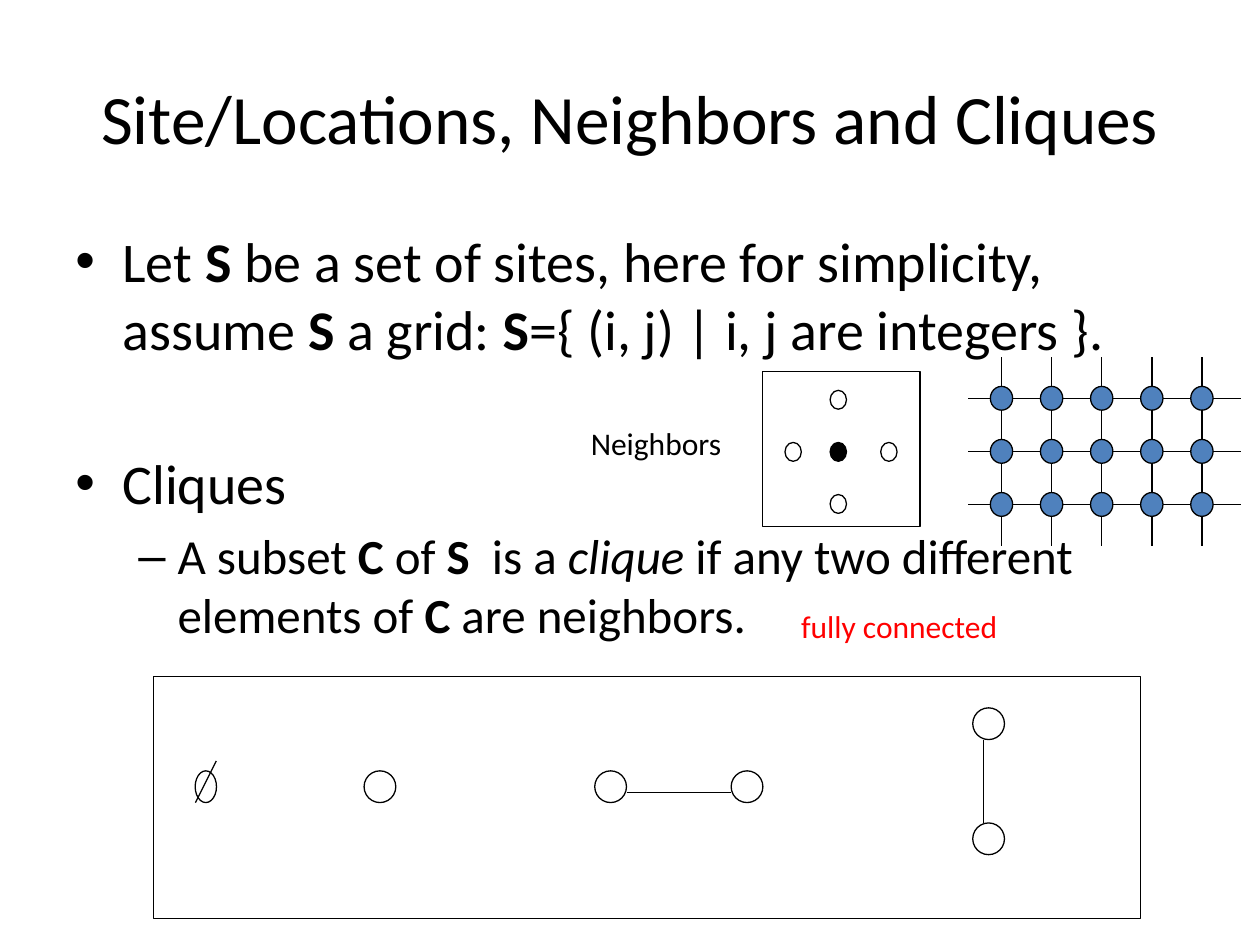
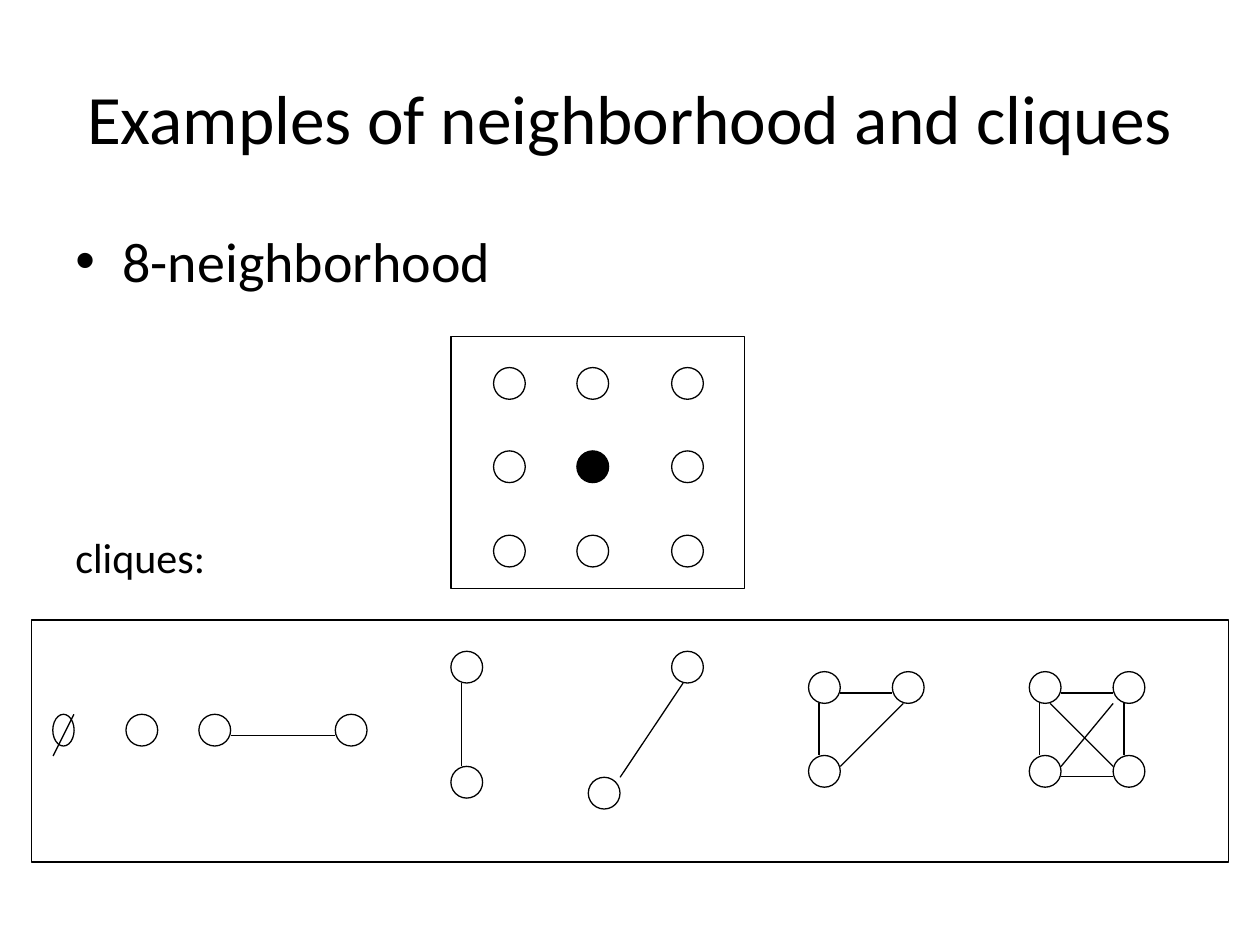
from lxml.etree import SubElement
from pptx import Presentation
from pptx.dml.color import RGBColor
from pptx.enum.shapes import MSO_CONNECTOR, MSO_SHAPE
from pptx.enum.text import MSO_ANCHOR, PP_ALIGN
from pptx.oxml.ns import qn
from pptx.util import Cm, Pt

HUES = {"ink": "000000", "node": "4F81BD", "note": "FF0000"}
FONT = "Calibri"
RAD = 0.32   # radius of a site in a clique
SIDE = 1.69  # distance between sites of a triangle or square
# Bullet, left margin, indent (cm) and text size for each level
LEVELS = [("•", 0.95, -0.95, 32), ("–", 2.06, -0.79, 28)]


def hue(name):
    return RGBColor.from_string(HUES[name])


def write(para, runs, size, color="ink"):
    """Add (text, style) runs; style holds b for bold and i for italic."""
    for text, style in runs:
        run = para.add_run()
        run.text = text
        font = run.font
        font.name, font.size = FONT, Pt(size)
        font.bold, font.italic = "b" in style, "i" in style
        font.color.rgb = hue(color)


def label(slide, text, x, y, w, h, size=18, color="ink"):
    box = slide.shapes.add_textbox(Cm(x), Cm(y), Cm(w), Cm(h))
    box.text_frame.word_wrap = False
    write(box.text_frame.paragraphs[0], [(text, "")], size, color)


def title(slide, text):
    box = slide.shapes.add_textbox(Cm(1.27), Cm(0.76), Cm(22.86), Cm(3.18))
    frame = box.text_frame
    frame.word_wrap = True
    frame.vertical_anchor = MSO_ANCHOR.MIDDLE
    para = frame.paragraphs[0]
    para.alignment = PP_ALIGN.CENTER
    write(para, [(text, "")], 39.6)


def body(slide, items):
    """Write bullets given as (level, space before, runs)."""
    box = slide.shapes.add_textbox(Cm(1.27), Cm(4.45), Cm(22.86), Cm(12.57))
    frame = box.text_frame
    frame.word_wrap = True
    for i, (level, gap, runs) in enumerate(items):
        para = frame.add_paragraph() if i else frame.paragraphs[0]
        mark, left, indent, size = LEVELS[level]
        props = para._p.get_or_add_pPr()
        props.set("marL", str(Cm(left)))
        props.set("indent", str(Cm(indent)))
        SubElement(props, qn("a:buFont")).set("typeface", "Arial")
        SubElement(props, qn("a:buChar")).set("char", mark)
        para.level = level
        if gap:
            para.space_before = Pt(gap)
        write(para, runs, size)


def shape(slide, kind, x, y, w, h, fill=None):
    item = slide.shapes.add_shape(kind, Cm(x), Cm(y), Cm(w), Cm(h))
    item.shadow.inherit = False
    if fill:
        item.fill.solid()
        item.fill.fore_color.rgb = hue(fill)
    else:
        item.fill.background()
    item.line.color.rgb = hue("ink")
    item.line.width = Pt(0.75)


def frame(slide, x, y, w, h):
    shape(slide, MSO_SHAPE.RECTANGLE, x, y, w, h)


def site(slide, x, y, fill=None, w=2 * RAD, h=2 * RAD):
    """Draw a round site centred on x, y."""
    shape(slide, MSO_SHAPE.OVAL, x - w / 2, y - h / 2, w, h, fill)


def link(slide, x1, y1, x2, y2):
    line = slide.shapes.add_connector(
        MSO_CONNECTOR.STRAIGHT, Cm(x1), Cm(y1), Cm(x2), Cm(y2))
    line.line.color.rgb = hue("ink")
    line.line.width = Pt(0.75)
    SubElement(line._element.spPr, qn("a:effectLst"))


def empty(slide, x, y, rise):
    """Draw the empty set; its slash starts rise above the centre."""
    site(slide, x, y, w=0.43)
    link(slide, x + 0.21, y - rise, x - 0.21, y - rise + 0.84)


def row_pair(slide, x, y, gap=2.75):
    site(slide, x, y)
    site(slide, x + gap, y)
    link(slide, x + RAD, y + 0.11, x + gap - RAD, y + 0.11)


def col_pair(slide, x, y, gap=2.32):
    site(slide, x, y)
    site(slide, x, y + gap)
    link(slide, x - 0.11, y + RAD, x - 0.11, y + gap - RAD)


def cluster(slide, x, y, spots, lines):
    """Draw sites at corner spots, and lines measured from x, y."""
    for col, row in spots:
        site(slide, x + col * SIDE, y + row * SIDE)
    for x1, y1, x2, y2 in lines:
        link(slide, x + x1, y + y1, x + x2, y + y2)


def lattice(slide, left=20.19, top=8.03, cols=5, rows=3):
    dx, dy, w, h = 1.01, 1.07, 0.45, 0.48
    xs = [left + dx * i for i in range(cols)]
    ys = [top + dy * i for i in range(rows)]
    for y in ys:
        for x in xs:
            site(slide, x, y, "node", w, h)
            link(slide, x + w / 2, y, x + dx - w / 2, y)
            link(slide, x, y - h / 2, x, y - dy + h / 2)
        link(slide, left - w / 2, y, left - 0.68, y)
    for x in xs:
        link(slide, x, ys[-1] + h / 2, x, ys[-1] + dy - h / 2)


def cross(slide):
    """Draw a site with its four neighbors."""
    frame(slide, 15.37, 7.49, 3.18, 3.12)
    x, y = 16.9, 9.11
    for dx, dy in [(0, -1.05), (-0.91, 0), (1.02, 0), (0, 1.05)]:
        site(slide, x + dx, y + dy, None, 0.33, 0.38)
    site(slide, x, y, "ink", 0.33, 0.38)


def block(slide):
    """Draw a site with its eight neighbors."""
    frame(slide, 9.09, 6.78, 5.92, 5.08)
    for row, y in enumerate([7.73, 9.41, 11.11]):
        for col, x in enumerate([10.27, 11.95, 13.86]):
            site(slide, x, y, "ink" if row == col == 1 else None)


def sites(slide):
    title(slide, "Site/Locations, Neighbors and Cliques")
    body(slide, [
        (0, 0, [("Let ", ""), ("S ", "b"),
                ("be a set of sites, here for simplicity, assume ", ""),
                ("S ", "b"), ("a grid: ", ""), ("S", "b"),
                ("={ (i, j) | i, j are integers }.", "")]),
        (0, 50, [("Cliques", "")]),
        (1, 5.6, [("A subset ", ""), ("C", "b"), (" of ", ""), ("S", "b"),
                  ("  is a ", ""), ("clique ", "i"),
                  ("if any two different elements of ", ""),
                  ("C ", "b"), ("are neighbors.", "")]),
    ])
    lattice(slide)
    cross(slide)
    frame(slide, 3.1, 13.64, 19.89, 4.88)
    y = 15.86
    empty(slide, 4.15, y, 0.52)
    site(slide, 7.66, y)
    row_pair(slide, 12.31, y)
    col_pair(slide, 19.93, 14.59)
    label(slide, "Neighbors", 11.66, 8.43, 3.18, 1.02)
    label(slide, "fully connected", 15.9, 12.12, 4.52, 1.02, color="note")


def samples(slide):
    title(slide, "Examples of neighborhood and cliques")
    body(slide, [(0, 0, [("8-neighborhood", "")])])
    block(slide)
    label(slide, "cliques:", 1.27, 10.59, 4.24, 1.27, 24)
    frame(slide, 0.64, 12.5, 24.13, 4.88)
    y = 14.72
    empty(slide, 1.28, y, 0.32)
    site(slide, 2.86, y)
    row_pair(slide, 4.33, y)
    col_pair(slide, 9.41, 13.45)
    site(slide, 13.86, 13.45)
    site(slide, 12.18, 15.99)
    link(slide, 13.77, 13.77, 12.5, 15.67)

    near, far = RAD, SIDE - RAD
    spots = [(0, 0), (1, 0), (0, 1)]
    sides = [(near, 0.11, far, 0.11), (-0.11, near, -0.11, far)]
    cluster(slide, 16.62, 13.86, spots, sides + [(1.59, near, near, 1.59)])
    cluster(slide, 21.07, 13.86, spots + [(1, 1)], sides + [
        (near, 1.8, far, 1.8), (1.59, near, 1.59, far),
        (0.1, near, far, 1.59), (far, near, near, 1.59)])


def main():
    deck = Presentation()
    deck.slide_width, deck.slide_height = Cm(25.4), Cm(19.05)
    for draw in (sites, samples):
        draw(deck.slides.add_slide(deck.slide_layouts[6]))
    deck.save("out.pptx")


if __name__ == "__main__":
    main()
